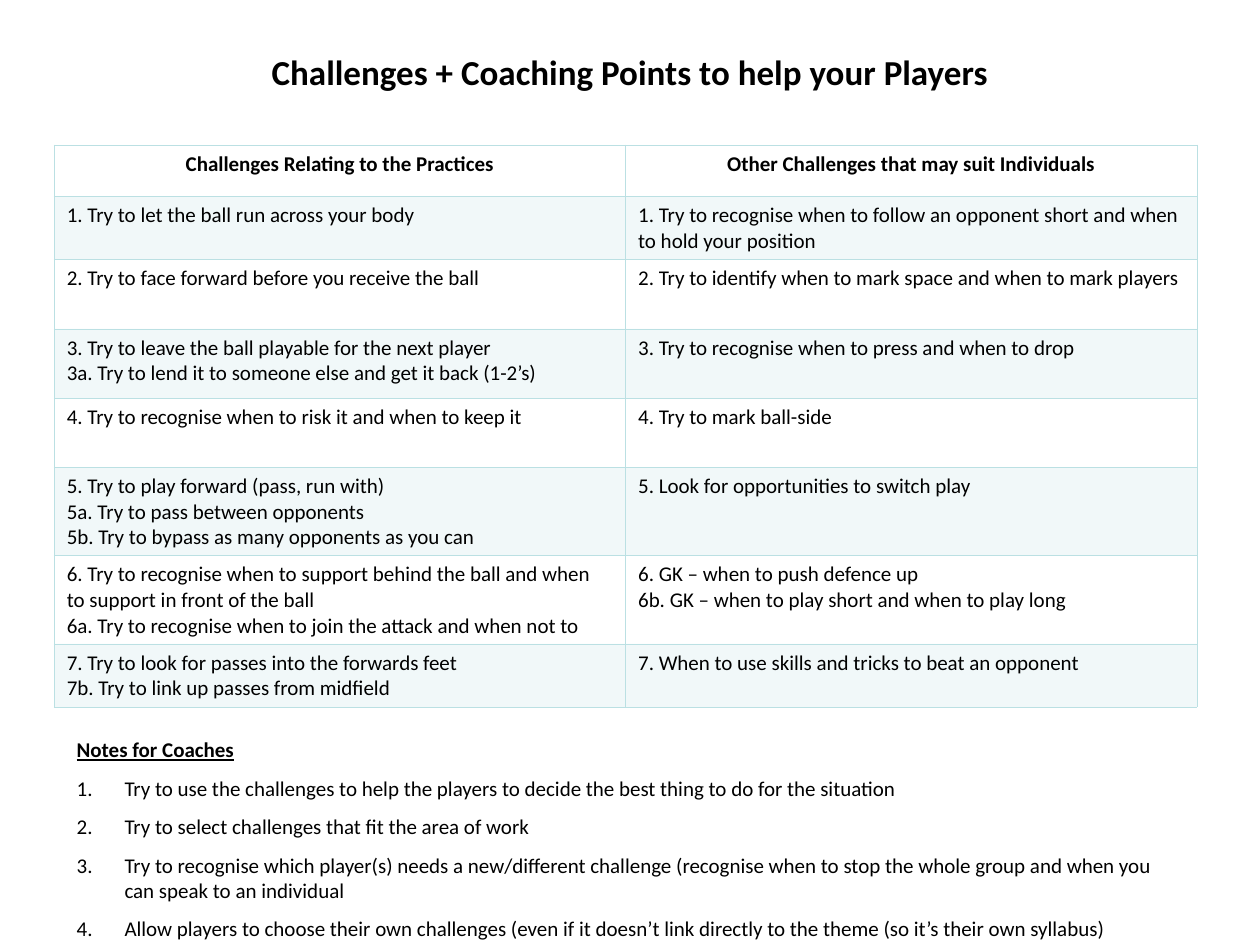
from pptx import Presentation
from pptx.dml.color import RGBColor
from pptx.enum.text import MSO_ANCHOR as Anchor, PP_ALIGN as Align
from pptx.oxml import parse_xml
from pptx.oxml.ns import nsdecls
from pptx.util import Inches, Pt
from lxml import etree

COLORS = {"text": "000000", "accent": "BBE0E3"}
BAND_OPACITY = 20
THIN, THICK = 0.45, 0.96

TITLE = "Challenges + Coaching Points to help your Players"
HEADERS = ["Challenges Relating to the Practices",
           "Other Challenges that may suit Individuals"]
CHALLENGES = [
    ("1. Try to let the ball run across your body",
     "1. Try to recognise when to follow an opponent short and when to hold your position"),
    ("2. Try to face forward before you receive the ball",
     "2. Try to identify when to mark space and when to mark players"),
    ("3. Try to leave the ball playable for the next player\n"
     "3a. Try to lend it to someone else and get it back (1-2’s)",
     "3. Try to recognise when to press and when to drop"),
    ("4. Try to recognise when to risk it and when to keep it",
     "4. Try to mark ball-side"),
    ("5. Try to play forward (pass, run with)\n"
     "5a. Try to pass between opponents\n"
     "5b. Try to bypass as many opponents as you can",
     "5. Look for opportunities to switch play"),
    ("6. Try to recognise when to support behind the ball and when to support in front of the ball\n"
     "6a. Try to recognise when to join the attack and when not to",
     "6. GK – when to push defence up\n"
     "6b. GK – when to play short and when to play long"),
    ("7. Try to look for passes into the forwards feet\n"
     "7b. Try to link up passes from midfield",
     "7. When to use skills and tricks to beat an opponent"),
]
ROW_HEIGHTS = [0.41, 0.5, 0.55, 0.55, 0.55, 0.7, 0.7, 0.5]
NOTES_HEADING = "Notes for Coaches"
NOTES = [
    "Try to use the challenges to help the players to decide the best thing to do for the situation",
    "Try to select challenges that fit the area of work",
    "Try to recognise which player(s) needs a new/different challenge (recognise when to stop "
    "the whole group and when you can speak to an individual",
    "Allow players to choose their own challenges (even if it doesn’t link directly to the theme "
    "(so it’s their own syllabus)",
]


class SlideBuilder:
    """Holds the text style and the slide being filled."""

    def __init__(self, slide, font="Calibri", size=12):
        self.slide = slide
        self.font = font
        self.size = size

    def format(self, paragraph, size=None, bold=False, underline=False, align=Align.LEFT):
        paragraph.alignment = align
        for run in paragraph.runs:
            font = run.font
            font.name = self.font
            font.size = Pt(size or self.size)
            font.bold = bold
            font.underline = underline
            font.color.rgb = RGBColor.from_string(COLORS["text"])

    def text_box(self, left, top, width, height, text):
        shape = self.slide.shapes.add_textbox(
            Inches(left), Inches(top), Inches(width), Inches(height))
        shape.text_frame.word_wrap = True
        shape.text_frame.text = text
        return shape.text_frame

    def title(self, left, top, width, height, text):
        frame = self.text_box(left, top, width, height, text)
        frame.vertical_anchor = Anchor.MIDDLE
        self.format(frame.paragraphs[0], size=20, bold=True, align=Align.CENTER)

    def numbered_notes(self, left, top, width, height, heading, notes):
        frame = self.text_box(left, top, width, height, "\n".join([heading, *notes]))
        for index, paragraph in enumerate(frame.paragraphs):
            is_heading = index == 0
            self.format(paragraph, bold=is_heading, underline=is_heading)
            paragraph.space_before = Pt(7.5)
            if not is_heading:
                self.number(paragraph, Inches(0.38))

    def number(self, paragraph, indent):
        """Give the paragraph an automatic number with a hanging indent."""
        properties = paragraph._p.get_or_add_pPr()
        properties.set("marL", str(indent))
        properties.set("indent", str(-indent))
        properties.append(parse_xml(f'<a:buFont {nsdecls("a")} typeface="+mj-lt"/>'))
        properties.append(parse_xml(f'<a:buAutoNum {nsdecls("a")} type="arabicPeriod"/>'))

    def table(self, left, top, width, row_heights, rows):
        table = self.slide.shapes.add_table(
            len(rows), len(rows[0]), Inches(left), Inches(top),
            Inches(width), Inches(sum(row_heights))).table
        table.first_row = False
        table.horz_banding = False
        for row_index, texts in enumerate(rows):
            table.rows[row_index].height = Inches(row_heights[row_index])
            for column_index, text in enumerate(texts):
                self.cell(table.cell(row_index, column_index), text, row_index)

    def cell(self, cell, text, row_index):
        is_header = row_index == 0
        cell.text_frame.text = text
        for paragraph in cell.text_frame.paragraphs:
            self.format(paragraph, bold=is_header,
                        align=Align.CENTER if is_header else Align.LEFT)
        if row_index % 2:
            cell.fill.solid()
            cell.fill.fore_color.rgb = RGBColor.from_string(COLORS["accent"])
        else:
            cell.fill.background()
        properties = cell._tc.get_or_add_tcPr()
        for color in properties.iter("{*}srgbClr"):
            alpha = etree.SubElement(color, color.tag.replace("srgbClr", "alpha"))
            alpha.set("val", str(BAND_OPACITY * 1000))
        widths = {"lnL": THIN, "lnR": THIN,
                  "lnT": THICK if row_index == 1 else THIN,
                  "lnB": THICK if is_header else THIN}
        for position, (side, line_width) in enumerate(widths.items()):
            properties.insert(position, parse_xml(
                f'<a:{side} {nsdecls("a")} w="{Pt(line_width)}"><a:solidFill>'
                f'<a:srgbClr val="{COLORS["accent"]}"/></a:solidFill></a:{side}>'))


def main():
    presentation = Presentation()
    presentation.slide_width = Inches(10)
    presentation.slide_height = Inches(7.5)
    slide = presentation.slides.add_slide(presentation.slide_layouts[6])
    builder = SlideBuilder(slide)
    builder.title(0.5, 0.3, 9, 0.54, TITLE)
    builder.table(0.43, 1.15, 9.07, ROW_HEIGHTS, [HEADERS, *CHALLENGES])
    builder.numbered_notes(0.51, 5.8, 8.75, 1.72, NOTES_HEADING, NOTES)
    presentation.save("out.pptx")


if __name__ == "__main__":
    main()
